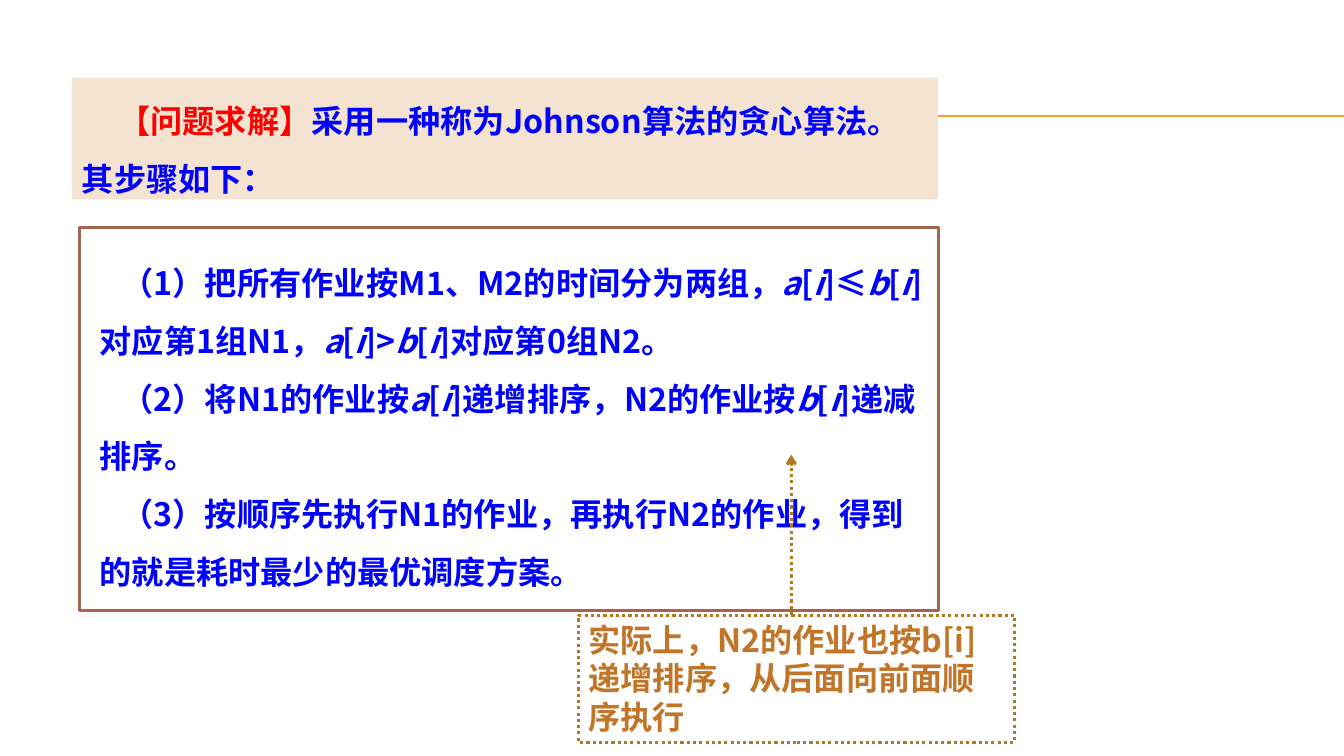
from lxml import etree
from pptx import Presentation
from pptx.dml import color
from pptx.enum import dml, shapes, text
from pptx.oxml import ns
from pptx.util import Pt

FONT = "Noto Sans CJK SC"
BLUE = color.RGBColor(0x00, 0x00, 0xFF)
RED = color.RGBColor(0xFF, 0x00, 0x00)
CREAM = color.RGBColor(0xF5, 0xE3, 0xD1)
WHITE = color.RGBColor(0xFF, 0xFF, 0xFF)
BROWN = color.RGBColor(0xA5, 0x64, 0x4E)
OCHRE = color.RGBColor(0xB2, 0x78, 0x22)
ORANGE = color.RGBColor(0xC1, 0x75, 0x29)
GOLD = color.RGBColor(0xF0, 0xA2, 0x2E)

TITLE = "|【问题求解】|采用一种称为Johnson算法的贪心算法。其步骤如下："
STEPS = [
    "（1）把所有作业按M1、M2的时间分为两组，|a|[|i|]≤|b|[|i|]对应第1组N1，"
    "|a|[|i|]>|b|[|i|]对应第0组N2。",
    "（2）将N1的作业按|a|[|i|]递增排序，N2的作业按|b|[|i|]递减排序。",
    "（3）按顺序先执行N1的作业，再执行N2的作业，得到的就是耗时最少的最优调度方案。",
]
NOTE = "实际上，N2的作业也按b[i]递增排序，从后面向前面顺序执行"


def sub(parent, tag, **attrs):
    return etree.SubElement(parent, ns.qn(tag), **attrs)


def stroke(line, ink, width, dash=None):
    line.color.rgb = ink
    line.width = Pt(width)
    if dash:
        line.dash_style = dash


def box(slide, left, top, width, height, fill=None):
    shape = slide.shapes.add_shape(
        shapes.MSO_SHAPE.RECTANGLE, Pt(left), Pt(top), Pt(width), Pt(height))
    shape.shadow.inherit = False
    if fill is None:
        shape.fill.background()
    else:
        shape.fill.solid()
        shape.fill.fore_color.rgb = fill
    shape.line.fill.background()
    return shape


def write(shape, paras, ink, accent=None, italic=False, indent=0,
          spacing=1, pads=(7.2, 3.6, 7.2, 3.6)):
    frame = shape.text_frame
    frame.word_wrap = True
    frame.auto_size = text.MSO_AUTO_SIZE.SHAPE_TO_FIT_TEXT
    frame.vertical_anchor = text.MSO_ANCHOR.TOP
    (frame.margin_left, frame.margin_top,
     frame.margin_right, frame.margin_bottom) = map(Pt, pads)
    for index, line in enumerate(paras):
        para = frame.add_paragraph() if index else frame.paragraphs[0]
        para.alignment = text.PP_ALIGN.LEFT
        para.line_spacing = spacing
        para._p.get_or_add_pPr().set("indent", str(Pt(indent)))
        for place, piece in enumerate(line.split("|")):
            if not piece:
                continue
            marked = place % 2 == 1
            run = para.add_run()
            run.text = piece
            font = run.font
            font.name = FONT
            font.size = Pt(23)
            font.bold = True
            font.italic = italic and marked
            font.color.rgb = accent if accent and marked else ink
            sub(run._r.get_or_add_rPr(), "a:ea", typeface=FONT)


def rule(slide, start, end, ink, width, dash=None, arrow=False):
    line = slide.shapes.add_connector(
        shapes.MSO_CONNECTOR.STRAIGHT, *map(Pt, start + end))
    stroke(line.line, ink, width, dash)
    if arrow:
        sub(line.line._get_or_add_ln(), "a:tailEnd", type="arrow")
    sub(line._element.spPr, "a:effectLst")


def main():
    deck = Presentation()
    deck.slide_width, deck.slide_height = Pt(960), Pt(540)
    slide = deck.slides.add_slide(deck.slide_layouts[6])
    dots = dml.MSO_LINE.ROUND_DOT

    for y in (82.8, 83.4):
        rule(slide, (54, y), (960, y), GOLD, 0.75)

    head = box(slide, 51.4, 55.4, 618.6, 87, CREAM)
    write(head, [TITLE], BLUE, accent=RED, indent=26, spacing=1.5)

    steps = box(slide, 56.8, 162.6, 613.6, 273.4, WHITE)
    stroke(steps.line, BROWN, 2)
    write(steps, STEPS, BLUE, italic=True, indent=15.6, spacing=1.5,
          pads=(14.4, 11.5, 7.2, 11.5))

    note = box(slide, 413.2, 439.4, 311.4, 90.8)
    stroke(note.line, OCHRE, 2.25, dots)
    write(note, [NOTE], ORANGE)
    rule(slide, (565.2, 439.4), (565.2, 324.8), OCHRE, 2.25, dots, arrow=True)

    deck.save("out.pptx")


if __name__ == "__main__":
    main()
